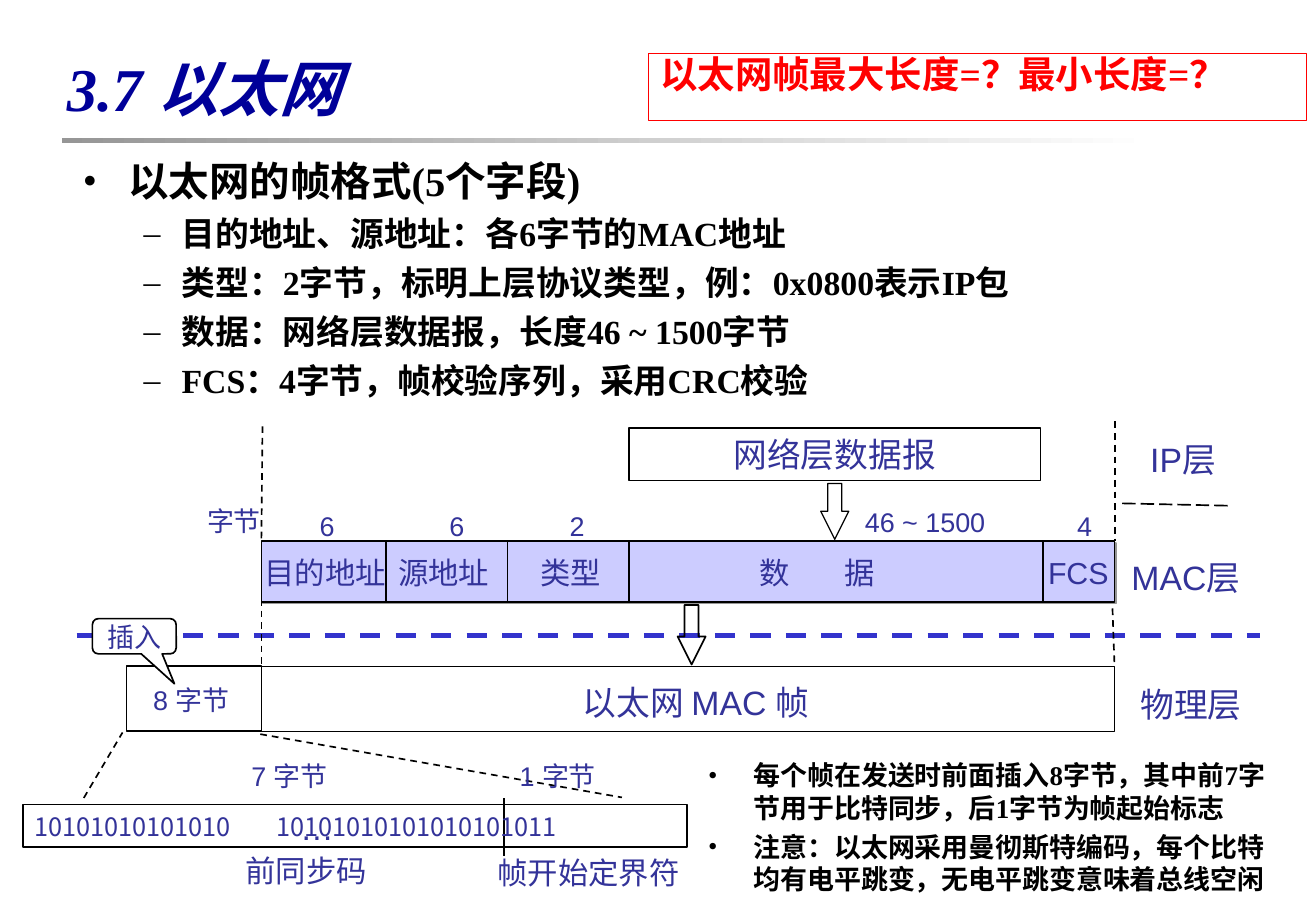
"""Build the slide on the Ethernet frame format."""
from lxml import etree
from pptx import Presentation
from pptx.dml import color
from pptx.enum import dml, shapes, text
from pptx.oxml import ns
from pptx.util import Pt

BLACK = color.RGBColor(0x00, 0x00, 0x00)
WHITE = color.RGBColor(0xFF, 0xFF, 0xFF)
GRAY = color.RGBColor(0x96, 0x96, 0x96)
RED = color.RGBColor(0xFF, 0x00, 0x00)
TITLE_BLUE = color.RGBColor(0x00, 0x00, 0x99)
LABEL_BLUE = color.RGBColor(0x33, 0x33, 0x99)
BORDER_BLUE = color.RGBColor(0x33, 0x33, 0xCC)
FIELD_BLUE = color.RGBColor(0xCC, 0xCC, 0xFF)
SERIF, SANS, CJK = "Times New Roman", "Arial", "Noto Sans CJK SC"
DASH, LONG_DASH = dml.MSO_LINE.DASH, dml.MSO_LINE.LONG_DASH
SHAPE = shapes.MSO_SHAPE

presentation = Presentation()
presentation.slide_width = Pt(780.48)
presentation.slide_height = Pt(540)
slide = presentation.slides.add_slide(presentation.slide_layouts[6])


def write(shape, lines, name, font_color, wrap=True, anchor=text.MSO_ANCHOR.TOP, **font_format):
    """Fill a shape with lines of (text, size, bullet, margin, hanging, space before)."""
    frame = shape.text_frame
    frame.word_wrap, frame.vertical_anchor = wrap, anchor
    for index, (words, size, bullet, margin, hanging, before) in enumerate(lines):
        paragraph = frame.paragraphs[0] if index == 0 else frame.add_paragraph()
        paragraph.alignment = text.PP_ALIGN.LEFT
        if index:
            paragraph.space_before = Pt(before)
        if bullet:
            properties = paragraph._p.get_or_add_pPr()
            properties.set("marL", str(Pt(margin)))
            properties.set("indent", str(-Pt(hanging)))
            etree.SubElement(properties, ns.qn("a:buFont")).set("typeface", name)
            etree.SubElement(properties, ns.qn("a:buChar")).set("char", bullet)
        run = paragraph.add_run()
        run.text = words
        for key, value in {"size": Pt(size), "name": name, **font_format}.items():
            setattr(run.font, key, value)
        run.font.color.rgb = font_color
        latin = run._r.rPr.find(ns.qn("a:latin"))
        east_asian = etree.Element(ns.qn("a:ea"))
        east_asian.set("typeface", CJK)
        latin.addnext(east_asian)


def draw(kind, left, top, width, height, line=BLACK, weight=1, fill=None):
    """Add a preset shape with a plain outline and an optional fill."""
    shape = slide.shapes.add_shape(kind, Pt(left), Pt(top), Pt(width), Pt(height))
    shape.shadow.inherit = False
    if fill is None:
        shape.fill.background()
    else:
        shape.fill.solid()
        shape.fill.fore_color.rgb = fill
    shape.line.color.rgb, shape.line.width = line, Pt(weight)
    return shape


rule = draw(SHAPE.RECTANGLE, 36.7, 82.1, 648, 2.5)
rule.line.fill.background()
rule.fill.gradient()
rule.fill.gradient_angle = 0
for stop, stop_color, position in zip(rule.fill.gradient_stops, (GRAY, WHITE), (0, 1)):
    stop.color.rgb, stop.position = stop_color, position

title = slide.shapes.add_textbox(Pt(32.6), Pt(20.2), Pt(708.5), Pt(62.6))
write(title, [("3.7 以太网", 36, None, 0, 0, 0)], SERIF, TITLE_BLUE,
      anchor=text.MSO_ANCHOR.MIDDLE, bold=True, italic=True)

fields = ["目的地址、源地址：各6字节的MAC地址", "类型：2字节，标明上层协议类型，例：0x0800表示IP包",
          "数据：网络层数据报，长度46 ~ 1500字节", "FCS：4字节，帧校验序列，采用CRC校验"]
body = slide.shapes.add_textbox(Pt(42.1), Pt(89), Pt(710.6), Pt(159.1))
write(body, [("以太网的帧格式(5个字段)", 24, "•", 27, 27, 0)]
      + [(field, 20, "–", 58.5, 22.5, 5) for field in fields], SERIF, BLACK, bold=True)

notes = ["每个帧在发送时前面插入8字节，其中前7字节用于比特同步，后1字节为帧起始标志",
         "注意：以太网采用曼彻斯特编码，每个比特均有电平跳变，无电平跳变意味着总线空闲"]
remarks = slide.shapes.add_textbox(Pt(412.9), Pt(446.4), Pt(351.4), Pt(93.6))
write(remarks, [(note, 16, "•", 27, 27, 4) for note in notes], SERIF, BLACK, bold=True)

question = draw(SHAPE.RECTANGLE, 384.5, 31.7, 390.2, 39.6, RED, 0.75)
write(question, [("以太网帧最大长度=？最小长度=？", 22.2, None, 0, 0, 0)], SERIF, RED, bold=True)
question.text_frame.paragraphs[0].line_spacing = 0.8

FRAME_LEFT, FRAME_RIGHT, FRAME_TOP, FRAME_BOTTOM = 155, 661, 320.8, 356.8
frame_box = draw(SHAPE.RECTANGLE, FRAME_LEFT, FRAME_TOP, FRAME_RIGHT - FRAME_LEFT, 36, fill=FIELD_BLUE)
effects = frame_box._element.spPr.find(ns.qn("a:effectLst"))
shadow = etree.SubElement(effects, ns.qn("a:outerShdw"), dist=str(Pt(1.4)), dir="2700000")
etree.SubElement(shadow, ns.qn("a:srgbClr"), val=str(GRAY))

dividers = [(x, FRAME_TOP, x, FRAME_BOTTOM, BLACK, 1, None) for x in (229, 301, 373, 618.8)]
guides = [
    (45.4, 376.8, 747.4, 376.8, BORDER_BLUE, 3, DASH),
    (FRAME_LEFT, 355, FRAME_LEFT, 395.3, BLACK, 1, DASH),
    (659.8, 360.7, 661, 394.6, BLACK, 1, DASH),
    (155.7, 252.7, FRAME_LEFT, 321.8, BLACK, 1, DASH),
    (661.2, 249.8, 661.2, FRAME_TOP, BLACK, 1, DASH),
    (49.7, 473, 72.7, 434.2, BLACK, 1, DASH),
    (154.4, 435.2, 368.9, 472.7, BLACK, 1, DASH),
    (665.6, 298.4, 730.4, 299.8, BLACK, 1, LONG_DASH),
    (298.8, 473.3, 298.8, 507.2, BLACK, 1, None),
]
for x1, y1, x2, y2, line_color, weight, dash in dividers + guides:
    line = slide.shapes.add_connector(shapes.MSO_CONNECTOR.STRAIGHT, Pt(x1), Pt(y1), Pt(x2), Pt(y2))
    line.line.color.rgb, line.line.width = line_color, Pt(weight)
    if dash:
        line.line.dash_style = dash
    etree.SubElement(line._element.spPr, ns.qn("a:effectLst"))

draw(SHAPE.RECTANGLE, FRAME_LEFT, 395, FRAME_RIGHT - FRAME_LEFT, 38.6, weight=0.75)
draw(SHAPE.RECTANGLE, 74.9, 394.8, 80.1, 38.5, weight=0.75)
draw(SHAPE.RECTANGLE, 13.7, 476.8, 393.6, 25.2)
for left, top, height, weight in ((486.8, 286.6, 33.1, 0.75), (401.9, 358.6, 35.3, 1)):
    arrow = draw(SHAPE.DOWN_ARROW, left, top, 16.6, height, weight=weight)
    arrow.adjustments[0], arrow.adjustments[1] = 0.5, 1

callout = draw(SHAPE.ROUNDED_RECTANGULAR_CALLOUT, 54.8, 366.7, 49.7, 20.9, fill=WHITE)
for index, value in enumerate((0.48, 1.35, 0.17)):
    callout.adjustments[index] = value

datagram = draw(SHAPE.RECTANGLE, 373, 253.8, 244.1, 31)
write(datagram, [("网络层数据报", 20, None, 0, 0, 0)], SANS, LABEL_BLUE,
      anchor=text.MSO_ANCHOR.MIDDLE)
datagram.text_frame.paragraphs[0].alignment = text.PP_ALIGN.CENTER

FIELD_TOP, COUNT_TOP, PREAMBLE_TOP = 324.9, 298.6, 447
labels = [
    ("以太网 MAC 帧", 338.4, 400.3, 164.2, 20),
    ("物理层", 669.2, 401.4, 76, 20),
    ("MAC层", 664, 326.2, 83.5, 20),
    ("IP层", 675.1, 256.3, 58.3, 20),
    ("…", 170.9, 474.2, 34.6, 20),
    ("前同步码", 138.6, 501.5, 86.8, 18),
    ("帧开始定界符", 288, 502.5, 124.8, 18),
    ("目的地址", 149.8, FIELD_TOP, 86.8, 18),
    ("源地址", 229, FIELD_TOP, 68.8, 18),
    ("类型", 313.5, FIELD_TOP, 50.8, 18),
    ("数", 443.2, FIELD_TOP, 32.8, 18),
    ("据", 493.9, FIELD_TOP, 32.8, 18),
    ("FCS", 614.5, FIELD_TOP, 50.4, 18),
    ("6", 182.5, COUNT_TOP, 23.4, 16),
    ("6", 259.5, COUNT_TOP, 23.4, 16),
    ("2", 330.8, COUNT_TOP, 23.4, 16),
    ("4", 631.8, COUNT_TOP, 23.4, 16),
    ("字节", 115.7, 295.8, 46.6, 16),
    ("46 ~ 1500", 505.8, 296.2, 85.8, 16),
    ("7 字节", 142, PREAMBLE_TOP, 63.6, 16),
    ("1 字节", 301.1, PREAMBLE_TOP, 63.6, 16),
    ("8 字节", 83.7, 402.2, 63.6, 16),
    ("插入", 56.9, 364.6, 46.6, 16),
    ("10101010101010", 13.3, 477, 131, 15),
    ("10101010101010101011", 156.6, 477, 181, 15),
]
for words, left, top, width, size in labels:
    height = 25.2 if size == 15 else size * 1.6
    label = slide.shapes.add_textbox(Pt(left), Pt(top), Pt(width), Pt(height))
    write(label, [(words, size, None, 0, 0, 0)], CJK if size == 15 else SANS, LABEL_BLUE,
          wrap=False, anchor=text.MSO_ANCHOR.MIDDLE)

presentation.save("out.pptx")
